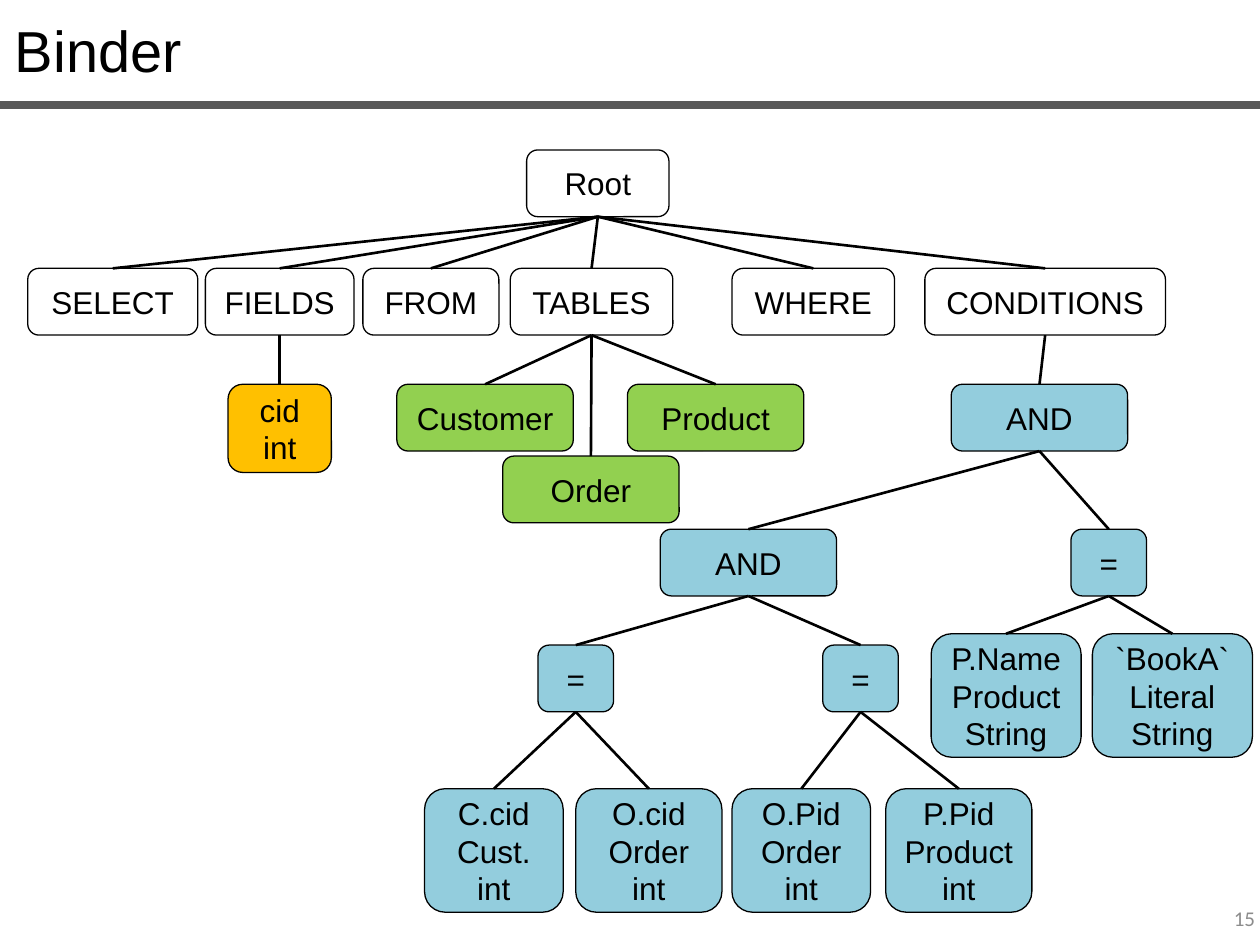
from dataclasses import dataclass

from lxml.etree import SubElement
from pptx import Presentation
from pptx.dml.color import RGBColor
from pptx.enum.shapes import MSO_CONNECTOR as Connector, MSO_SHAPE as Shape
from pptx.enum.text import MSO_ANCHOR as Anchor, PP_ALIGN as Align
from pptx.oxml.ns import qn
from pptx.util import Inches, Pt

COLORS = {
    "black": "000000", "rule": "595959", "number": "8C8C8C",
    "field": "FFC000", "table": "92D050", "condition": "93CDDD",
}
TOP_SITE, BOTTOM_SITE = 0, 2
BOX_HEIGHT, LEAF_HEIGHT = 0.53, 0.98
ROOT_TOP, CLAUSE_TOP, CHILD_TOP, ORDER_TOP = 1.19, 2.13, 3.05, 3.62
BRANCH_TOP, EQUALS_TOP, LITERAL_TOP, LEAF_TOP = 4.2, 5.12, 5.03, 6.26


@dataclass
class Node:
    """One box of the bound syntax tree with the boxes below it."""
    text: str
    left: float
    top: float
    width: float
    height: float = BOX_HEIGHT
    fill: str = ""
    children: tuple = ()


def condition(text, left, top, width, *children, height=BOX_HEIGHT):
    """Return a node of the condition expression."""
    return Node(text, left, top, width, height, "condition", children)


def leaf(text, left, width, top=LEAF_TOP):
    """Return a typed operand of a comparison."""
    return condition(text, left, top, width, height=LEAF_HEIGHT)


def table(text, left, top=CHILD_TOP):
    """Return a bound table node."""
    return Node(text, left, top, 1.4, fill="table")


def clause(text, left, width, *children):
    """Return a node of the row of query clauses."""
    return Node(text, left, CLAUSE_TOP, width, children=children)


CUSTOMER_MATCH = condition(
    "=", 4.27, EQUALS_TOP, 0.6,
    leaf("C.cid\nCust.\nint", 3.37, 1.1), leaf("O.cid\nOrder\nint", 4.57, 1.16))
PRODUCT_MATCH = condition(
    "=", 6.53, EQUALS_TOP, 0.6,
    leaf("O.Pid\nOrder\nint", 5.81, 1.1), leaf("P.Pid\nProduct\nint", 7.03, 1.16))
NAME_MATCH = condition(
    "=", 8.5, BRANCH_TOP, 0.6,
    leaf("P.Name\nProduct\nString", 7.39, 1.19, LITERAL_TOP),
    leaf("`BookA`\nLiteral\nString", 8.67, 1.27, LITERAL_TOP))
JOINS = condition("AND", 5.24, BRANCH_TOP, 1.4, CUSTOMER_MATCH, PRODUCT_MATCH)
TREE = Node("Root", 4.18, ROOT_TOP, 1.13, children=(
    clause("SELECT", 0.22, 1.35),
    clause("FIELDS", 1.63, 1.18, Node("cid\nint", 1.81, CHILD_TOP, 0.82, 0.7, "field")),
    clause("FROM", 2.88, 1.08),
    clause("TABLES", 4.05, 1.29, table("Customer", 3.15),
           table("Order", 3.99, ORDER_TOP), table("Product", 4.98)),
    clause("WHERE", 5.81, 1.29),
    clause("CONDITIONS", 7.34, 1.91,
           condition("AND", 7.55, CHILD_TOP, 1.4, JOINS, NAME_MATCH)),
))


class SlideBuilder:
    """Holds the style and the current slide and draws each kind of element."""

    font, size, box_line, link_line = "Arial", 18, 0.75, 1.5

    def __init__(self, slide):
        self.slide = slide

    def color(self, name):
        return RGBColor.from_string(COLORS[name])

    def set_text(self, shape, text, align, anchor, margin=0.1, **format_values):
        frame = shape.text_frame
        frame_values = {
            "text": text, "word_wrap": True, "vertical_anchor": anchor,
            "margin_left": Inches(margin), "margin_right": Inches(margin),
        }
        for name, value in frame_values.items():
            setattr(frame, name, value)
        color = format_values.pop("color", "black")
        font_values = {"name": self.font, "size": Pt(self.size), **format_values}
        for paragraph in frame.paragraphs:
            paragraph.alignment = align
            font = paragraph.runs[0].font
            for name, value in font_values.items():
                setattr(font, name, value)
            font.color.rgb = self.color(color)

    def text(self, text, left, top, width, height, align, anchor, **format_values):
        shape = self.slide.shapes.add_textbox(*map(Inches, (left, top, width, height)))
        self.set_text(shape, text, align, anchor, **format_values)

    def box(self, node):
        bounds = map(Inches, (node.left, node.top, node.width, node.height))
        shape = self.slide.shapes.add_shape(Shape.ROUNDED_RECTANGLE, *bounds)
        shape.shadow.inherit = False
        if node.fill:
            shape.fill.solid()
            shape.fill.fore_color.rgb = self.color(node.fill)
        else:
            shape.fill.background()
        shape.line.color.rgb = self.color("black")
        shape.line.width = Pt(self.box_line)
        self.set_text(shape, node.text, Align.CENTER, Anchor.MIDDLE, margin=0.05)
        return shape

    def line(self, start, end, color, width):
        points = map(Inches, (*start, *end))
        connector = self.slide.shapes.add_connector(Connector.STRAIGHT, *points)
        connector.line.color.rgb = self.color(color)
        connector.line.width = Pt(width)
        SubElement(connector.element.spPr, qn("a:effectLst"))
        return connector

    def tree(self, node):
        shape = self.box(node)
        for child in node.children:
            child_shape = self.tree(child)
            link = self.line((0, 0), (0, 0), "black", self.link_line)
            link.begin_connect(shape, BOTTOM_SITE)
            link.end_connect(child_shape, TOP_SITE)
        return shape


def main():
    """Build the slide and save it."""
    presentation = Presentation()
    presentation.slide_width, presentation.slide_height = Inches(10), Inches(7.5)
    builder = SlideBuilder(presentation.slides.add_slide(presentation.slide_layouts[6]))
    builder.text("Binder", 0.02, 0.07, 10, 0.66, Align.LEFT, Anchor.TOP, size=Pt(33))
    builder.line((0, 0.83), (10, 0.83), "rule", 4.5)
    builder.text("15", 7.73, 7.09, 2.33, 0.4, Align.RIGHT, Anchor.MIDDLE,
                 name="Calibri", size=Pt(12), color="number")
    builder.tree(TREE)
    presentation.save("out.pptx")


if __name__ == "__main__":
    main()
